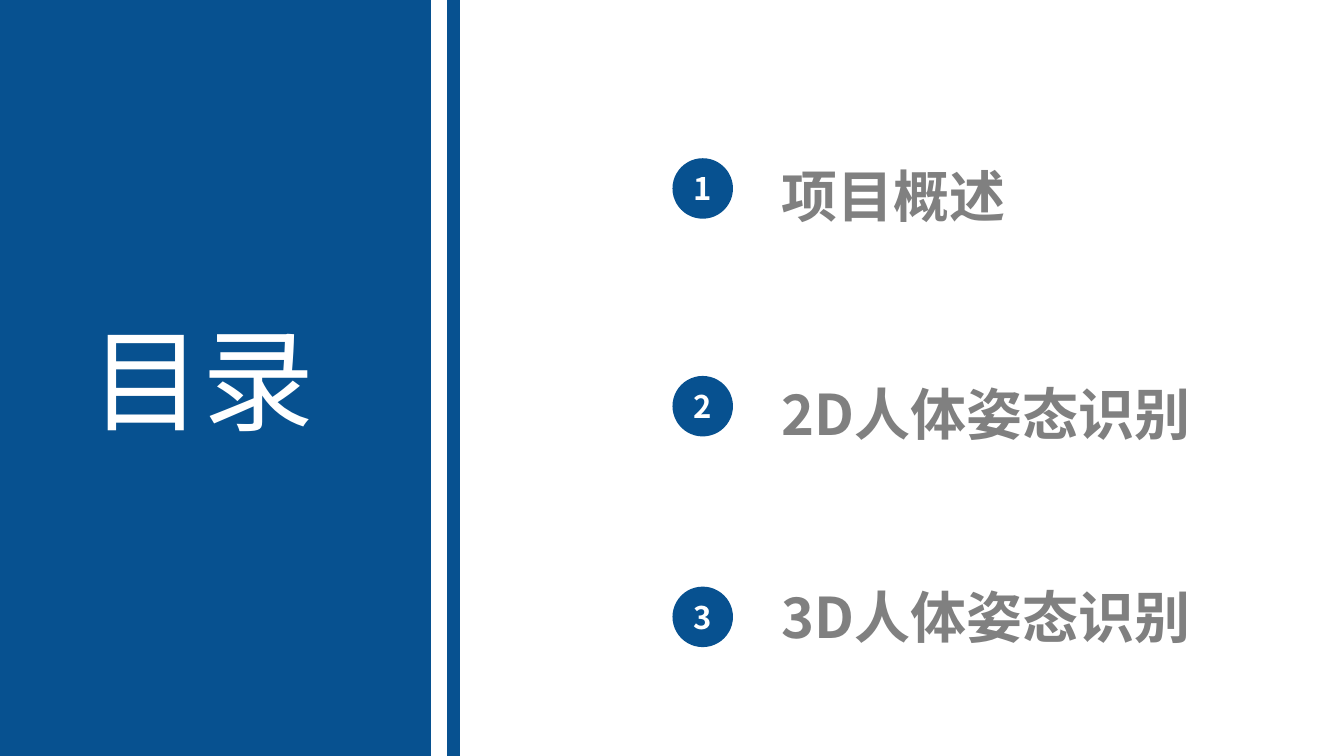
from lxml.etree import SubElement
from pptx import Presentation
from pptx.dml.color import RGBColor
from pptx.enum.shapes import MSO_SHAPE as Preset
from pptx.enum.text import MSO_ANCHOR as Anchor, MSO_AUTO_SIZE as AutoSize, PP_ALIGN as Align
from pptx.oxml.ns import qn
from pptx.util import Inches, Pt

BLUE, WHITE, GREY = "075190", "FFFFFF", "808080"
TITLE = "目录 "
BANDS = [(0, 4.27), (4.44, 0.12)]
TOPICS = [
    ("项目概述", 1.45, 1.57, 3.91),
    ("2D人体姿态识别", 3.61, 3.73, 4.52),
    ("3D人体姿态识别", 5.63, 5.82, 4.66),
]
TITLE_FONT = {"size": Pt(80), "name": "Noto Sans CJK JP"}
TOPIC_FONT = {"size": Pt(40), "name": "Noto Sans CJK SC", "bold": True}
NUMBER_FONT = {**TOPIC_FONT, "size": Pt(22.2)}
TOPIC_FRAME = {
    "margin_left": Inches(0.04), "margin_right": 0, "margin_top": 0,
    "margin_bottom": 0, "vertical_anchor": Anchor.MIDDLE,
}


def color(hex_string):
    return RGBColor.from_string(hex_string)


def set_all(target, values):
    for key, value in values.items():
        setattr(target, key, value)


def write(shape, text, font, ink, frame, paragraph):
    set_all(shape.text_frame, {"word_wrap": True, **frame})
    line = shape.text_frame.paragraphs[0]
    set_all(line, paragraph)
    run = line.add_run()
    run.text = text
    run.font.fill.solid()
    run.font.fill.fore_color.rgb = color(ink)
    set_all(run.font, font)
    SubElement(run.font._element, qn("a:ea"), typeface=font["name"])


def add_blue(slide, preset, *box):
    shape = slide.shapes.add_shape(preset, *map(Inches, box))
    shape.shadow.inherit = False
    shape.fill.solid()
    shape.fill.fore_color.rgb = color(BLUE)
    shape.line.fill.background()
    return shape


def add_text(slide, *box):
    return slide.shapes.add_textbox(*map(Inches, box))


def main():
    deck = Presentation()
    set_all(deck, {"slide_width": Inches(13.33), "slide_height": Inches(7.5)})
    slide = deck.slides.add_slide(deck.slide_layouts[6])

    for left, width in BANDS:
        band = add_blue(slide, Preset.RECTANGLE, left, 0, width, 7.5)
        band.line.color.rgb = color(BLUE)
        band.line.width = Pt(1)

    title = add_text(slide, 0, 3.03, 4.27, 1.45)
    write(title, TITLE, TITLE_FONT, WHITE,
          {"auto_size": AutoSize.SHAPE_TO_FIT_TEXT}, {"alignment": Align.CENTER})

    for number, (topic, topic_top, badge_top, width) in enumerate(TOPICS, 1):
        label = add_text(slide, 7.71, topic_top, width, 0.84)
        write(label, topic, TOPIC_FONT, GREY, TOPIC_FRAME, {"line_spacing": 1.2})
        badge = add_blue(slide, Preset.OVAL, 6.67, badge_top, 0.6, 0.6)
        write(badge, str(number), NUMBER_FONT, WHITE,
              {"vertical_anchor": Anchor.MIDDLE}, {"alignment": Align.CENTER})

    deck.save("out.pptx")


if __name__ == "__main__":
    main()
